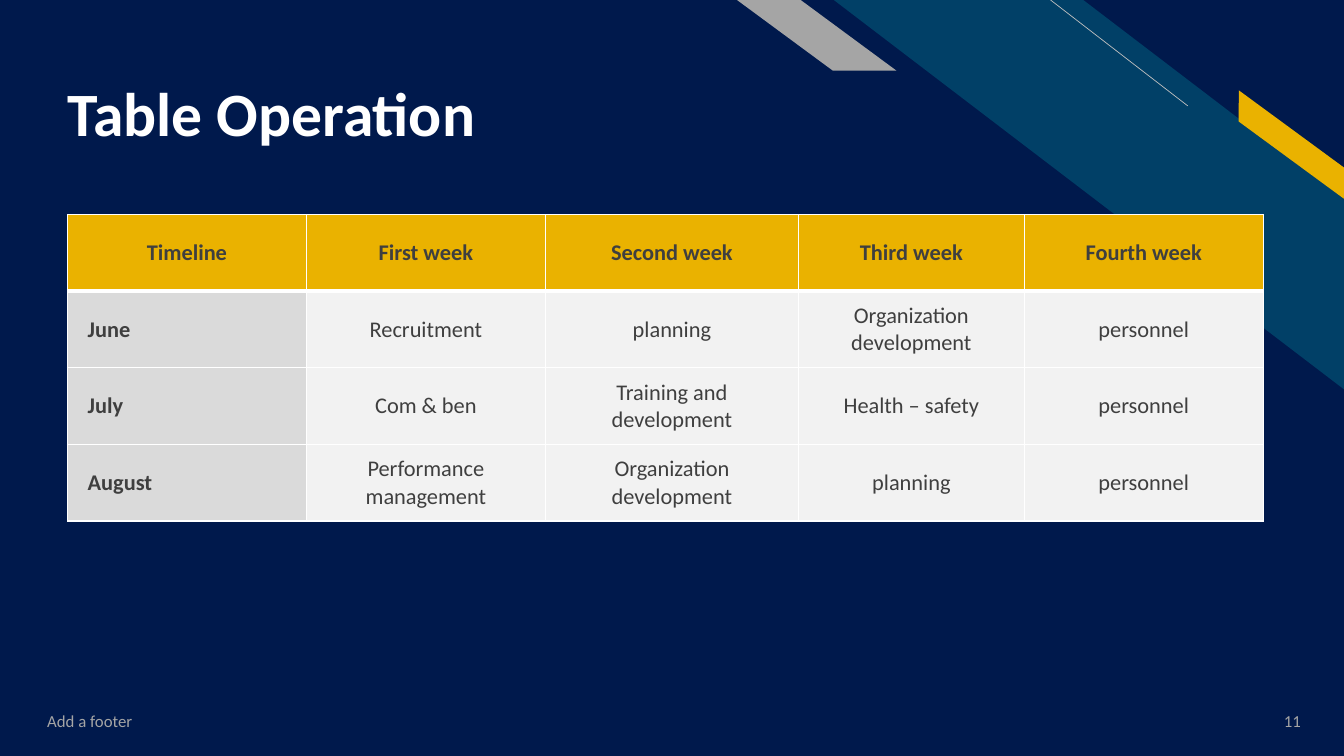
from lxml import etree
from pptx import Presentation
from pptx.dml.color import RGBColor
from pptx.enum.shapes import MSO_CONNECTOR, MSO_SHAPE
from pptx.enum.text import MSO_ANCHOR, PP_ALIGN
from pptx.oxml.ns import qn
from pptx.util import Inches, Pt

LEFT, CENTER, RIGHT = PP_ALIGN.LEFT, PP_ALIGN.CENTER, PP_ALIGN.RIGHT
MIDDLE, BOTTOM = MSO_ANCHOR.MIDDLE, MSO_ANCHOR.BOTTOM
STRIPE, SLANT = MSO_SHAPE.DIAGONAL_STRIPE, MSO_SHAPE.PARALLELOGRAM
STRAIGHT = MSO_CONNECTOR.STRAIGHT

COLORS = {
    "navy": "00194C", "teal": "014067", "gold": "EAB200", "gray": "A5A5A5",
    "silver": "BFBFBF", "white": "FFFFFF", "ink": "3F3F3F",
    "label": "DADADA", "cell": "F2F2F2",
}

SCHEDULE = [
    ["Timeline", "First week", "Second week", "Third week", "Fourth week"],
    ["June", "Recruitment", "planning", "Organization development", "personnel"],
    ["July", "Com & ben", "Training and development", "Health – safety", "personnel"],
    ["August", "Performance management", "Organization development", "planning", "personnel"],
]
COLUMN_WIDTHS = [2.37, 2.37, 2.51, 2.24, 2.37]
ROW_HEIGHT = 0.76


def rgb(name):
    return RGBColor.from_string(COLORS[name])


class SlideBuilder:
    def __init__(self, page, font="Calibri"):
        self.page = page
        self.font = font

    def background(self, color):
        fill = self.page.background.fill
        fill.solid()
        fill.fore_color.rgb = rgb(color)

    def style(self, para, size, color, bold=False, align=LEFT):
        para.alignment = align
        para.font.name = self.font
        para.font.size = Pt(size)
        para.font.bold = bold
        para.font.color.rgb = rgb(color)

    def band(self, kind, left, top, width, height, slant, color, rotation=0):
        """Add a horizontally mirrored slanted shape."""
        shape = self.page.shapes.add_shape(
            kind, Inches(left), Inches(top), Inches(width), Inches(height))
        shape.adjustments[0] = slant
        shape.rotation = rotation
        shape.shadow.inherit = False
        shape.fill.solid()
        shape.fill.fore_color.rgb = rgb(color)
        shape.line.fill.background()
        shape._element.spPr.xfrm.set("flipH", "1")

    def line(self, x1, y1, x2, y2, color, width):
        line = self.page.shapes.add_connector(
            STRAIGHT, Inches(x1), Inches(y1), Inches(x2), Inches(y2))
        line.line.color.rgb = rgb(color)
        line.line.width = Pt(width)
        etree.SubElement(line._element.spPr, qn("a:effectLst"))

    def title(self, text, left, top, width, height):
        box = self.page.shapes.title
        box.left, box.top = Inches(left), Inches(top)
        box.width, box.height = Inches(width), Inches(height)
        frame = box.text_frame
        frame.text = text
        frame.vertical_anchor = BOTTOM
        frame.margin_bottom = 0
        para = frame.paragraphs[0]
        para.line_spacing = 0.9
        self.style(para, 44, "white", bold=True)

    def text(self, text, left, top, width, height, size, color, align=LEFT):
        box = self.page.shapes.add_textbox(
            Inches(left), Inches(top), Inches(width), Inches(height))
        frame = box.text_frame
        frame.word_wrap = True
        frame.vertical_anchor = MIDDLE
        frame.text = text
        self.style(frame.paragraphs[0], size, color, align=align)

    def border(self, cell, side, width):
        """Draw one white cell edge; edges must be added before the cell fill."""
        edge = etree.SubElement(
            cell._tc.get_or_add_tcPr(), qn(f"a:ln{side}"), w=str(Pt(width)))
        fill = etree.SubElement(edge, qn("a:solidFill"))
        etree.SubElement(fill, qn("a:srgbClr"), val=COLORS["white"])

    def table(self, rows, widths, row_height, left, top):
        table = self.page.shapes.add_table(
            len(rows), len(widths), Inches(left), Inches(top),
            Inches(sum(widths)), Inches(row_height * len(rows))).table
        table.horz_banding = False
        table.first_col = True
        for column, width in zip(table.columns, widths):
            column.width = Inches(width)
        for r, row in enumerate(rows):
            table.rows[r].height = Inches(row_height)
            for c, text in enumerate(row):
                self.cell(table.cell(r, c), text, r, c)

    def cell(self, cell, text, r, c):
        is_header = r == 0
        is_label = c == 0 and not is_header
        widths = {"L": 1, "R": 1, "T": 3 if r == 1 else 1, "B": 3 if is_header else 1}
        for side, width in widths.items():
            self.border(cell, side, width)
        cell.fill.solid()
        cell.fill.fore_color.rgb = rgb(
            "gold" if is_header else "label" if is_label else "cell")
        cell.vertical_anchor = MIDDLE
        cell.margin_left = Inches(0.2 if is_label else 0.1)
        cell.text = text
        self.style(cell.text_frame.paragraphs[0], 16, "ink",
                   bold=is_header or is_label, align=LEFT if is_label else CENTER)


def main():
    deck = Presentation()
    deck.slide_width, deck.slide_height = Inches(13.33), Inches(7.5)
    slide = SlideBuilder(deck.slides.add_slide(deck.slide_layouts[5]))

    slide.background("navy")
    slide.band(STRIPE, 8.27, 0, 5.07, 3.87, 0.512, "teal")
    slide.line(11.78, 1.05, 10.42, 0, "silver", 0.5)
    slide.band(SLANT, 12.07, 1.31, 1.48, 0.25, 0.72, "gold", rotation=36.3)
    slide.band(SLANT, 7.31, 0, 1.58, 0.7, 1.356, "gray")

    slide.title("Table Operation", 0.57, 0.23, 9.11, 1.26)
    slide.table(SCHEDULE, COLUMN_WIDTHS, ROW_HEIGHT, 0.67, 2.13)
    slide.text("Add a footer", 0.37, 6.95, 4.5, 0.4, 12, "gray")
    slide.text("11", 12.19, 6.95, 0.81, 0.4, 12, "gray", align=RIGHT)

    deck.save("out.pptx")


if __name__ == "__main__":
    main()
